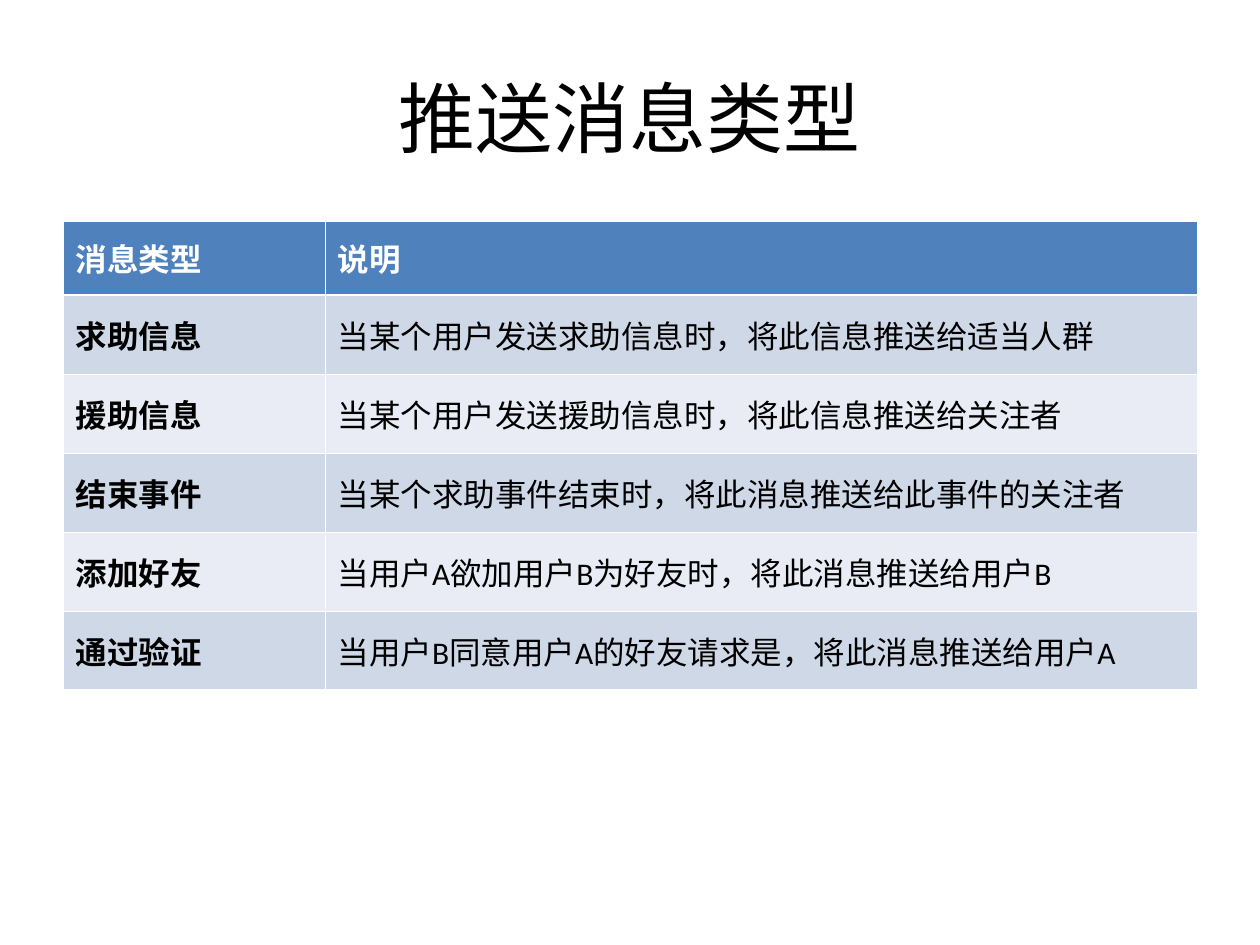
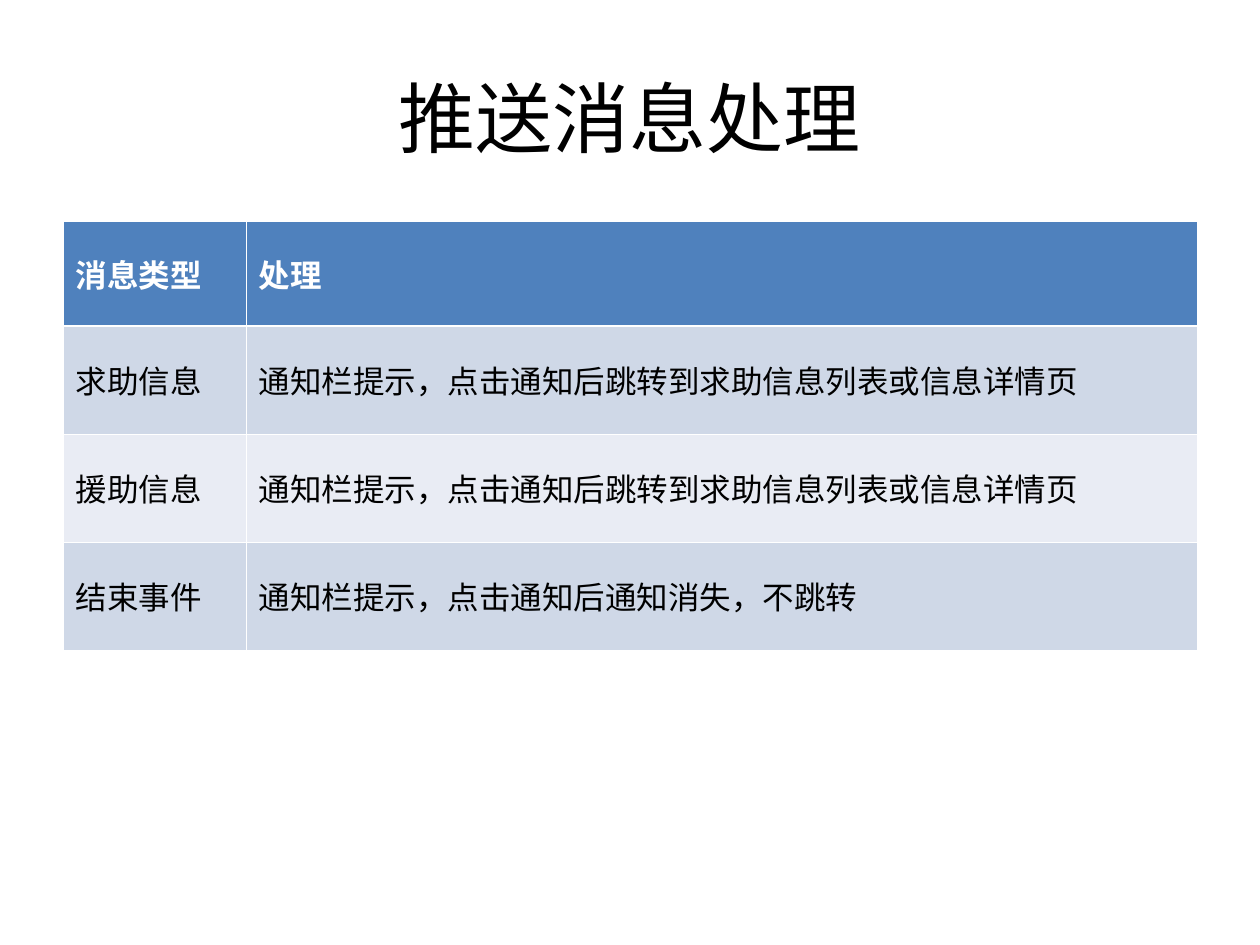
from dataclasses import dataclass

from lxml.etree import SubElement
from pptx import Presentation
from pptx.dml.color import RGBColor
from pptx.enum.text import MSO_ANCHOR, PP_ALIGN
from pptx.oxml.ns import qn
from pptx.util import Emu, Pt

SLIDES = [
    {
        "title": "推送消息类型",
        "cols": [262, 872],
        "header_height": 74,
        "row_height": 79,
        "bold_labels": True,
        "rows": [
            ("消息类型", "说明"),
            ("求助信息", "当某个用户发送求助信息时，将此信息推送给适当人群"),
            ("援助信息", "当某个用户发送援助信息时，将此信息推送给关注者"),
            ("结束事件", "当某个求助事件结束时，将此消息推送给此事件的关注者"),
            ("添加好友", "当用户A欲加用户B为好友时，将此消息推送给用户B"),
            ("通过验证", "当用户B同意用户A的好友请求是，将此消息推送给用户A"),
        ],
    },
    {
        "title": "推送消息处理",
        "cols": [183, 951],
        "header_height": 105,
        "row_height": 108,
        "bold_labels": False,
        "rows": [
            ("消息类型", "处理"),
            ("求助信息", "通知栏提示，点击通知后跳转到求助信息列表或信息详情页"),
            ("援助信息", "通知栏提示，点击通知后跳转到求助信息列表或信息详情页"),
            ("结束事件", "通知栏提示，点击通知后通知消失，不跳转"),
        ],
    },
]


@dataclass(frozen=True)
class Theme:
    text: str = "000000"
    header_text: str = "FFFFFF"
    header: str = "4F81BD"
    bands: tuple = ("CFD8E7", "E9ECF4")
    border: str = "FFFFFF"
    thin: float = 0.45
    thick: float = 1.47
    title_font: str = "Arial"
    title_size: int = 44
    table_font: str = "Calibri"
    table_size: int = 18


THEME = Theme()
SLIDE_SIZE = (1260, 945)
TITLE_BOX = (63, 38, 1134, 157)
TABLE_LEFT, TABLE_TOP = 63, 221


def px(n):
    return Emu(n * 914400 // 126)


def style(p, font, size, color, bold=False):
    for r in p.runs:
        r.font.name = font
        r.font.size = Pt(size)
        r.font.bold = bold
        r.font.color.rgb = RGBColor.from_string(color)


def add_title(s, text):
    tf = s.shapes.add_textbox(*map(px, TITLE_BOX)).text_frame
    tf.word_wrap = True
    tf.vertical_anchor = MSO_ANCHOR.MIDDLE
    tf.text = text
    p = tf.paragraphs[0]
    p.alignment = PP_ALIGN.CENTER
    style(p, THEME.title_font, THEME.title_size, THEME.text)


def set_borders(cell, row):
    widths = {
        "a:lnL": THEME.thin,
        "a:lnR": THEME.thin,
        "a:lnT": THEME.thick if row == 1 else THEME.thin,
        "a:lnB": THEME.thick if row == 0 else THEME.thin,
    }
    tc_pr = cell._tc.get_or_add_tcPr()
    for tag, width in widths.items():
        ln = SubElement(tc_pr, qn(tag), w=str(int(Pt(width))))
        fill = SubElement(ln, qn("a:solidFill"))
        SubElement(fill, qn("a:srgbClr"), val=THEME.border)


def fill_cell(cell, text, row, bold):
    is_header = row == 0
    set_borders(cell, row)
    color = THEME.header if is_header else THEME.bands[(row - 1) % 2]
    cell.fill.solid()
    cell.fill.fore_color.rgb = RGBColor.from_string(color)
    cell.vertical_anchor = MSO_ANCHOR.MIDDLE
    cell.text_frame.text = text
    style(
        cell.text_frame.paragraphs[0],
        THEME.table_font,
        THEME.table_size,
        THEME.header_text if is_header else THEME.text,
        is_header or bold,
    )


def add_message_table(s, data):
    rows, cols = data["rows"], data["cols"]
    heights = [data["header_height"]] + [data["row_height"]] * (len(rows) - 1)
    box = (TABLE_LEFT, TABLE_TOP, sum(cols), sum(heights))
    table = s.shapes.add_table(len(rows), len(cols), *map(px, box)).table
    for col, width in zip(table.columns, cols):
        col.width = px(width)
    for i, (values, height) in enumerate(zip(rows, heights)):
        table.rows[i].height = px(height)
        for j, text in enumerate(values):
            fill_cell(table.cell(i, j), text, i, data["bold_labels"] and j == 0)


def main():
    prs = Presentation()
    prs.slide_width, prs.slide_height = map(px, SLIDE_SIZE)
    for data in SLIDES:
        s = prs.slides.add_slide(prs.slide_layouts[6])
        add_title(s, data["title"])
        add_message_table(s, data)
    prs.save("out.pptx")


if __name__ == "__main__":
    main()
